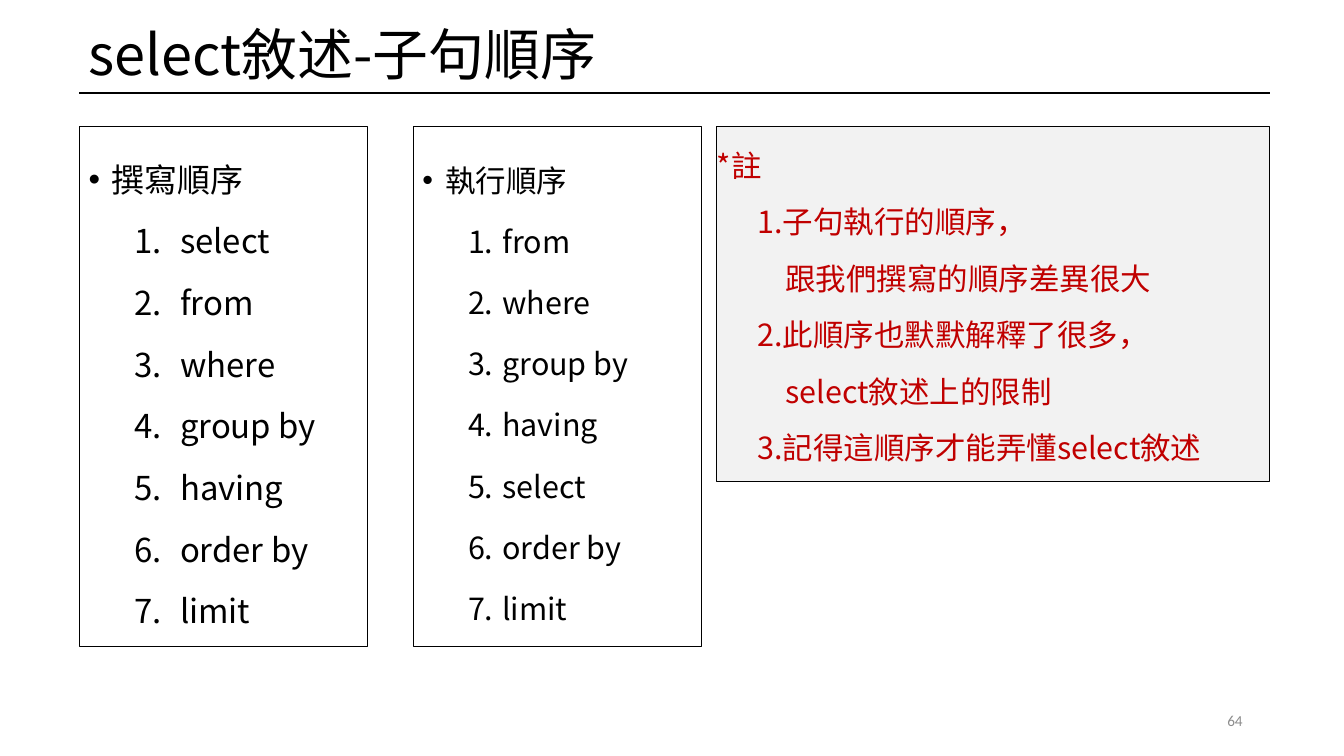
from pptx import Presentation
from pptx.dml.color import RGBColor
from pptx.enum import shapes, text
from pptx.oxml import xmlchemy
from pptx.util import Pt
from lxml import etree

NS = "http://schemas.openxmlformats.org/drawingml/2006/main"
COLORS = {"ink": "000000", "note": "C00000", "panel": "F2F2F2", "number": "8C8C8C"}
CJK = "Noto Sans CJK TC"
LEFT, RIGHT, TOP = 62.6, 1000.1, 99.4
COLUMN_WIDTH, COLUMN_HEIGHT, COLUMN_STEP = 226.8, 409.7, 262.8

WRITTEN = ["select", "from", "where", "group by", "having", "order by", "limit"]
EXECUTED = ["from", "where", "group by", "having", "select", "order by", "limit"]
NOTES = [
    ("*註", 0),
    ("1.子句執行的順序，", 32),
    ("跟我們撰寫的順序差異很大", 54),
    ("2.此順序也默默解釋了很多，", 32),
    ("select敘述上的限制", 54),
    ("3.記得這順序才能弄懂select敘述", 32),
]


def rgb(name):
    return RGBColor.from_string(COLORS[name])


def place(shape, box):
    shape.left, shape.top, shape.width, shape.height = map(Pt, box)


def set_frame(frame, insets, anchor):
    frame.word_wrap = True
    frame.auto_size = text.MSO_AUTO_SIZE.NONE
    frame.vertical_anchor = anchor
    frame.margin_left, frame.margin_top, frame.margin_right, frame.margin_bottom = map(Pt, insets)


def outline(shape):
    shape.line.color.rgb = rgb("ink")
    shape.line.width = Pt(0.75)


def set_font(para, size, color, name=CJK):
    font = para.font
    font.size, font.name = Pt(size), name
    font.color.rgb = rgb(color)
    defaults = para._p.get_or_add_pPr().find(f"{{{NS}}}defRPr")
    etree.SubElement(defaults, f"{{{NS}}}ea", typeface=name)


def set_indent(para, margin, hanging=0):
    props = para._p.get_or_add_pPr()
    props.set("marL", str(Pt(margin)))
    props.set("indent", str(Pt(-hanging)))
    return props


def next_para(frame, index):
    return frame.add_paragraph() if index else frame.paragraphs[0]


def add_heading(page, box):
    left, top, width, height = box
    title = page.shapes.title
    place(title, box)
    set_frame(title.text_frame, (7.2, 7.2, 7.2, 3.6), text.MSO_ANCHOR.MIDDLE)
    para = title.text_frame.paragraphs[0]
    para.text = "select敘述-子句順序"
    para.alignment = text.PP_ALIGN.LEFT
    set_font(para, 44, "ink")
    rule = page.shapes.add_connector(
        shapes.MSO_CONNECTOR.STRAIGHT, Pt(left), Pt(top + 72), Pt(left + width), Pt(top + 72))
    rule.line.color.rgb = rgb("ink")
    rule.line.width = Pt(1.25)
    etree.SubElement(rule._element.spPr, f"{{{NS}}}effectLst")


def fill_column(body, box, heading, clauses, size, pitch, margin, hanging):
    place(body, box)
    outline(body)
    frame = body.text_frame
    set_frame(frame, (7.2, 13.5, 7.2, 3.6), text.MSO_ANCHOR.TOP)
    for index, words in enumerate([heading, *clauses]):
        para = next_para(frame, index)
        para.text = words
        para.level = 1 if index else 0
        para.line_spacing = Pt(pitch - 5)
        para.space_before = Pt(5 if index else 0)
        if index:
            props = set_indent(para, margin, hanging)
            etree.SubElement(props, f"{{{NS}}}buFont", typeface="+mj-lt")
            etree.SubElement(props, f"{{{NS}}}buAutoNum", type="arabicPeriod")
        else:
            props = set_indent(para, 18, 18)
            etree.SubElement(props, f"{{{NS}}}buFont", typeface="Arial")
            etree.SubElement(props, f"{{{NS}}}buChar", char="•")
        set_font(para, size, "ink")


def add_note(page, box):
    left, top, width, height = map(Pt, box)
    panel = page.shapes.add_shape(shapes.MSO_SHAPE.RECTANGLE, left, top, width, height)
    panel.shadow.inherit = False
    panel.fill.solid()
    panel.fill.fore_color.rgb = rgb("panel")
    outline(panel)
    frame = panel.text_frame
    set_frame(frame, (0, 10.5, 0, 8.6), text.MSO_ANCHOR.TOP)
    for index, (words, margin) in enumerate(NOTES):
        para = next_para(frame, index)
        para.text = words
        para.alignment = text.PP_ALIGN.LEFT
        para.line_spacing = Pt(34.5)
        para.space_before = Pt(10 if index else 0)
        set_indent(para, margin)
        set_font(para, 24, "note")


def add_page_number(page, box):
    label = page.shapes.add_textbox(*map(Pt, box))
    set_frame(label.text_frame, (7.2, 3.6, 7.2, 3.6), text.MSO_ANCHOR.MIDDLE)
    para = label.text_frame.paragraphs[0]
    para.text = "64"
    para.alignment = text.PP_ALIGN.RIGHT
    set_font(para, 12, "number", "Calibri")


def main():
    deck = Presentation()
    deck.slide_width, deck.slide_height = Pt(1058.4), Pt(595.4)
    page = deck.slides.add_slide(deck.slide_layouts[3])
    add_heading(page, (LEFT, 1.4, RIGHT - LEFT, 77.8))
    columns = [
        ("撰寫順序", WRITTEN, 25.9, 48.6, 72, 36),
        ("執行順序", EXECUTED, 24, 48.2, 63, 27),
    ]
    for index, column in enumerate(columns):
        box = (LEFT + index * COLUMN_STEP, TOP, COLUMN_WIDTH, COLUMN_HEIGHT)
        fill_column(page.placeholders[index + 1], box, *column)
    add_note(page, (564.5, TOP, RIGHT - 564.5, 279.4))
    add_page_number(page, (747.4, 551.5, 238.3, 31.7))
    deck.save("out.pptx")


if __name__ == "__main__":
    main()
